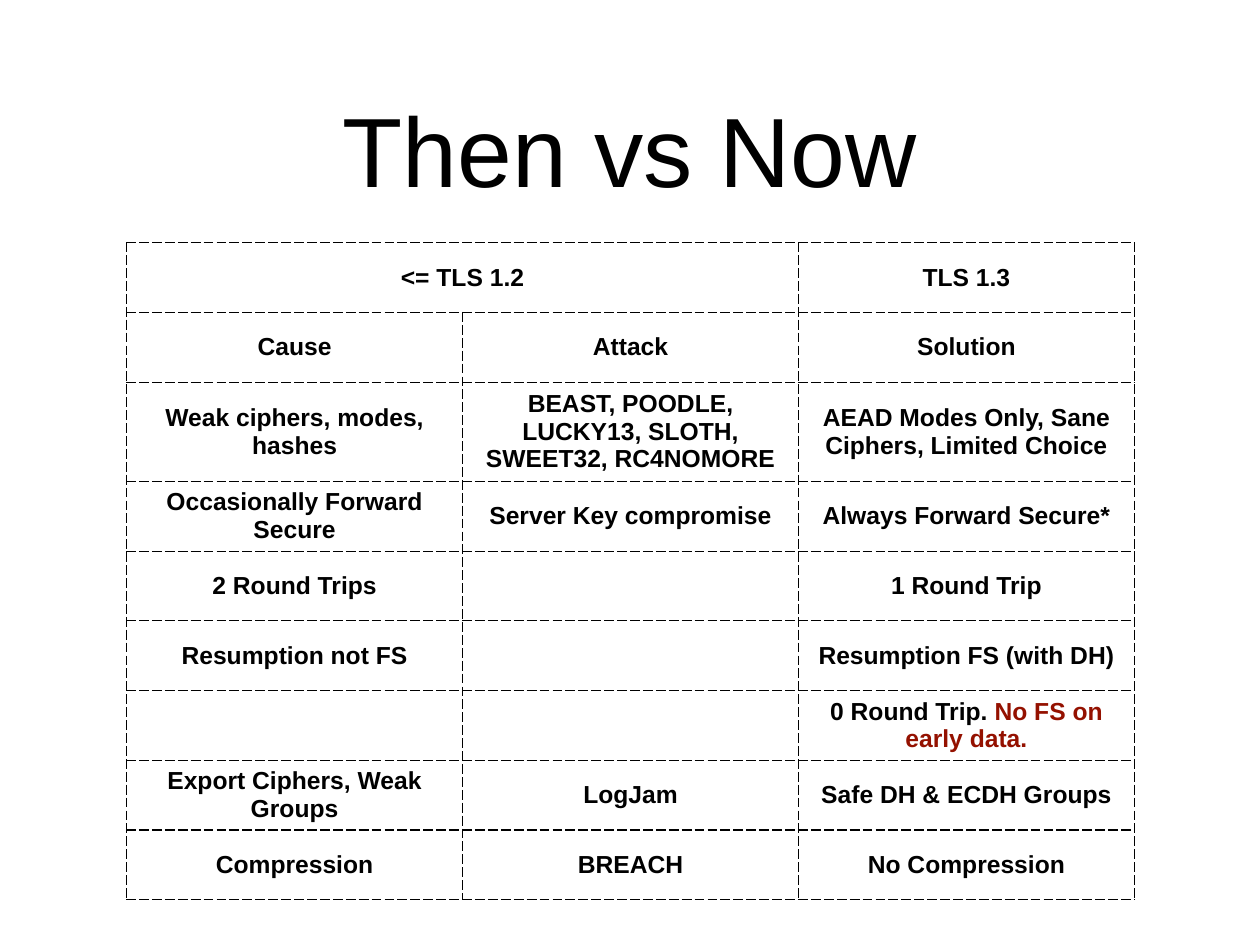
from lxml.etree import SubElement
from pptx import Presentation
from pptx.dml.color import RGBColor
from pptx.enum.text import MSO_ANCHOR, PP_ALIGN
from pptx.oxml.ns import qn
from pptx.util import Cm, Pt

BLACK = RGBColor(0x00, 0x00, 0x00)
WARNING_RED = RGBColor(0x94, 0x11, 0x00)
WHITE = RGBColor(0xFF, 0xFF, 0xFF)

COMPARISON = [
    ["<= TLS 1.2", "", "TLS 1.3"],
    ["Cause", "Attack", "Solution"],
    ["Weak ciphers, modes, hashes",
     "BEAST, POODLE, LUCKY13, SLOTH, SWEET32, RC4NOMORE",
     "AEAD Modes Only, Sane Ciphers, Limited Choice"],
    ["Occasionally Forward Secure", "Server Key compromise", "Always Forward Secure*"],
    ["2 Round Trips", "", "1 Round Trip"],
    ["Resumption not FS", "", "Resumption FS (with DH)"],
    ["", "", [("0 Round Trip. ", BLACK), ("No FS on early data.", WARNING_RED)]],
    ["Export Ciphers, Weak Groups", "LogJam", "Safe DH & ECDH Groups"],
    ["Compression", "BREACH", "No Compression"],
]


def apply(target, values):
    for name, value in values.items():
        setattr(target, name, value)


class SlideBuilder:
    title_font = {"name": "Arial", "size": Pt(80), "bold": False}
    cell_font = {"name": "Arial", "size": Pt(20), "bold": True}
    margins = {f"margin_{side}": Cm(0.15) for side in ("left", "right", "top", "bottom")}
    border_width = Pt(1)

    def __init__(self, deck):
        self.slide = deck.slides.add_slide(deck.slide_layouts[6])
        background = self.slide.background.fill
        background.solid()
        background.fore_color.rgb = WHITE

    def add_text(self, frame, content, font):
        para = frame.paragraphs[0]
        para.alignment = PP_ALIGN.CENTER
        if isinstance(content, str):
            content = [(content, BLACK)] if content else []
        for text, color in content:
            span = para.add_run()
            span.text = text
            apply(span.font, font)
            span.font.color.rgb = color

    def title(self, text, left, top, width, height):
        box = self.slide.shapes.add_textbox(left, top, width, height)
        frame = box.text_frame
        apply(frame, {**self.margins, "word_wrap": True,
                      "vertical_anchor": MSO_ANCHOR.MIDDLE})
        self.add_text(frame, text, self.title_font)

    def border(self, cell):
        properties = cell._tc.get_or_add_tcPr()
        for side in ("L", "R", "T", "B"):
            line = SubElement(properties, qn(f"a:ln{side}"), w=str(self.border_width))
            fill = SubElement(line, qn("a:solidFill"))
            SubElement(fill, qn("a:srgbClr"), val=str(BLACK))
            SubElement(line, qn("a:prstDash"), val="lgDash")

    def table(self, rows, left, top, column_width, row_height):
        columns = len(rows[0])
        table = self.slide.shapes.add_table(
            len(rows), columns, left, top,
            column_width * columns, row_height * len(rows)).table
        apply(table, {"first_row": False, "horz_banding": False})
        for column in table.columns:
            column.width = column_width
        for row, contents in zip(table.rows, rows):
            row.height = row_height
            for cell, content in zip(row.cells, contents):
                apply(cell, {**self.margins, "vertical_anchor": MSO_ANCHOR.MIDDLE})
                self.border(cell)
                cell.fill.background()
                self.add_text(cell.text_frame, content, self.cell_font)
        return table


def main():
    deck = Presentation()
    apply(deck, {"slide_width": Cm(36.12), "slide_height": Cm(27.1)})
    builder = SlideBuilder(deck)
    builder.title("Then vs Now", Cm(2.64), Cm(1.24), Cm(30.84), Cm(6))
    table = builder.table(COMPARISON, Cm(3.63), Cm(6.96), Cm(9.63), Cm(2))
    table.cell(0, 0).merge(table.cell(0, 1))
    deck.save("out.pptx")


if __name__ == "__main__":
    main()
